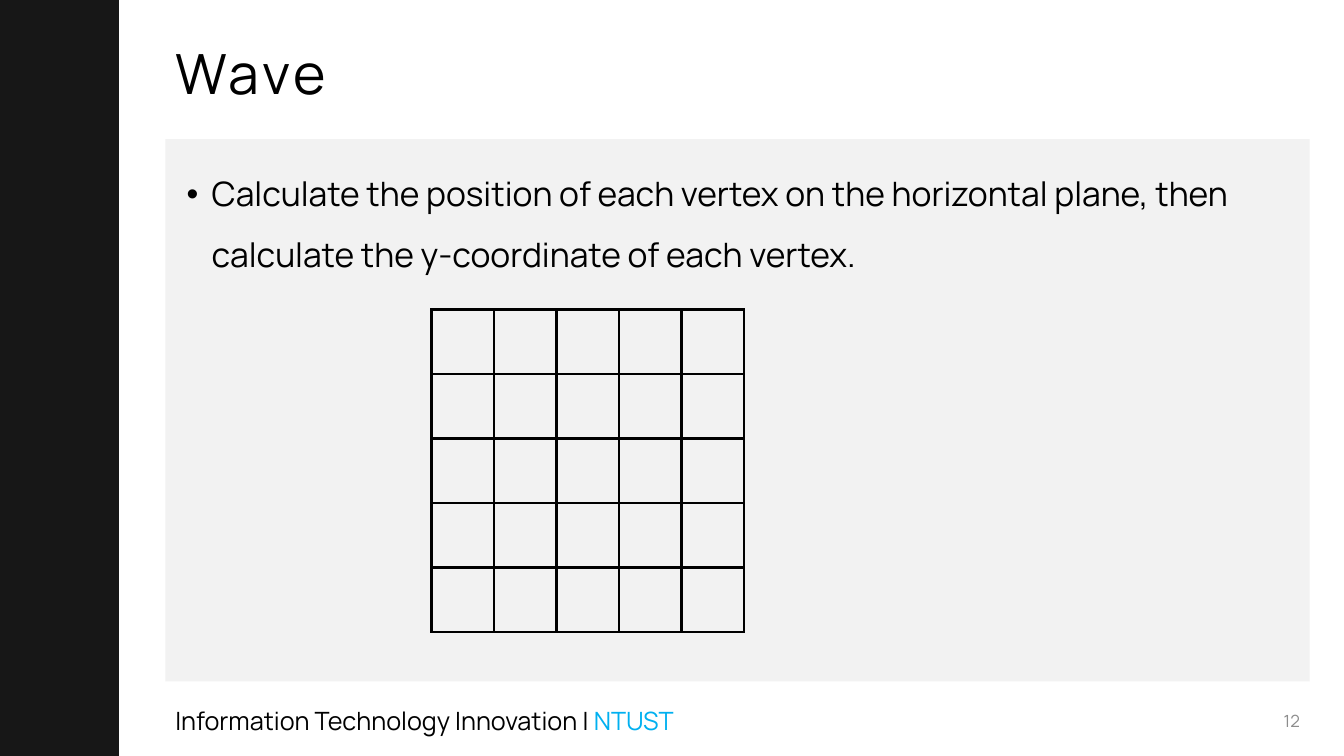
from lxml import etree
from pptx import Presentation
from pptx import util as u
from pptx.dml.color import RGBColor
from pptx.enum import shapes, text
from pptx.oxml import ns

COLORS = {"panel": "F2F2F2", "bar": "171717", "ink": "000000",
          "accent": "00B0F0", "number": "8C8C8C"}
FONT = "Manrope"
GRID_SIZE = 5
TITLE = "Wave"
BULLET = ("Calculate the position of each vertex on the horizontal plane, "
          "then calculate the y-coordinate of each vertex.")


def color(name):
    """Return the named colour."""
    return RGBColor.from_string(COLORS[name])


def place(item, left, top, width, height):
    """Move and size a shape, in inches."""
    item.left, item.top = u.Inches(left), u.Inches(top)
    item.width, item.height = u.Inches(width), u.Inches(height)


def style(span, size, name):
    """Format one run."""
    span.font.name = FONT
    span.font.size = u.Pt(size)
    span.font.color.rgb = color(name)


def add_backdrop(page, name, *bounds):
    """Add a plain rectangle behind everything else."""
    box = page.shapes.add_shape(shapes.MSO_SHAPE.RECTANGLE,
                                *map(u.Inches, bounds))
    box.shadow.inherit = False
    box.fill.solid()
    box.fill.fore_color.rgb = color(name)
    box.line.fill.background()
    page.shapes._spTree.insert(2, box._element)


def add_label(page, bounds, parts, size, align):
    """Add one line of text made of coloured parts."""
    box = page.shapes.add_textbox(*map(u.Inches, bounds))
    frame = box.text_frame
    frame.word_wrap = True
    frame.vertical_anchor = text.MSO_ANCHOR.MIDDLE
    para = frame.paragraphs[0]
    para.alignment = align
    for words, name in parts:
        span = para.add_run()
        span.text = words
        style(span, size, name)


def fill_placeholder(box, bounds, words, size, spacing, anchor):
    """Move a placeholder, write its paragraph and return that paragraph."""
    place(box, *bounds)
    frame = box.text_frame
    frame.text = words
    frame.word_wrap = True
    frame.auto_size = text.MSO_AUTO_SIZE.NONE
    frame.vertical_anchor = anchor
    para = frame.paragraphs[0]
    para.alignment = text.PP_ALIGN.LEFT
    para.line_spacing = spacing
    para.space_before = u.Pt(0)
    style(para.runs[0], size, "ink")
    return para


def add_bullet(para, indent):
    """Give a paragraph a round bullet with a hanging indent."""
    props = para._p.get_or_add_pPr()
    props.set("marL", str(u.Inches(indent)))
    props.set("indent", str(-u.Inches(indent)))
    etree.SubElement(props, ns.qn("a:buFont"), typeface="Arial")
    etree.SubElement(props, ns.qn("a:buChar"), char="•")


def outline_cell(cell, width):
    """Clear a cell's fill and draw its four borders."""
    props = cell._tc.get_or_add_tcPr()
    for side in ("lnL", "lnR", "lnT", "lnB"):
        line = etree.SubElement(props, ns.qn("a:" + side), w=str(u.Pt(width)))
        fill = etree.SubElement(line, ns.qn("a:solidFill"))
        etree.SubElement(fill, ns.qn("a:srgbClr"), val=COLORS["ink"])
    cell.fill.background()


def add_grid(page, left, top, cell_width, cell_height):
    """Add the square table of empty outlined cells."""
    table = page.shapes.add_table(
        GRID_SIZE, GRID_SIZE, u.Inches(left), u.Inches(top),
        u.Inches(cell_width * GRID_SIZE),
        u.Inches(cell_height * GRID_SIZE)).table
    table.first_row = table.horz_banding = False
    for column in table.columns:
        column.width = u.Inches(cell_width)
    for row in table.rows:
        row.height = u.Inches(cell_height)
    for cell in table.iter_cells():
        outline_cell(cell, 2.25)


def main():
    """Build and save the slide."""
    deck = Presentation()
    deck.slide_width, deck.slide_height = u.Inches(13.33), u.Inches(7.5)
    page = deck.slides.add_slide(deck.slide_layouts[1])

    add_backdrop(page, "bar", 0, 0, 1.18, 7.5)
    add_backdrop(page, "panel", 1.64, 1.38, 11.35, 5.38)

    title = fill_placeholder(page.shapes.title, (1.64, 0.4, 11.35, 0.72),
                             TITLE, 39.6, 0.9, text.MSO_ANCHOR.MIDDLE)
    title.runs[0].font._element.set("spc", "300")
    body = fill_placeholder(page.placeholders[1], (1.75, 1.47, 11.13, 5.19),
                            BULLET, 24, 1.5, text.MSO_ANCHOR.TOP)
    add_bullet(body, 0.25)

    add_grid(page, 4.28, 3.07, 0.62, 0.64)
    add_label(page, (1.64, 6.95, 5.6, 0.4),
              [("Information Technology Innovation | ", "ink"),
               ("NTUST", "accent")], 18, text.PP_ALIGN.LEFT)
    add_label(page, (9.99, 6.95, 3, 0.4), [("12", "number")], 12,
              text.PP_ALIGN.RIGHT)
    deck.save("out.pptx")


if __name__ == "__main__":
    main()
